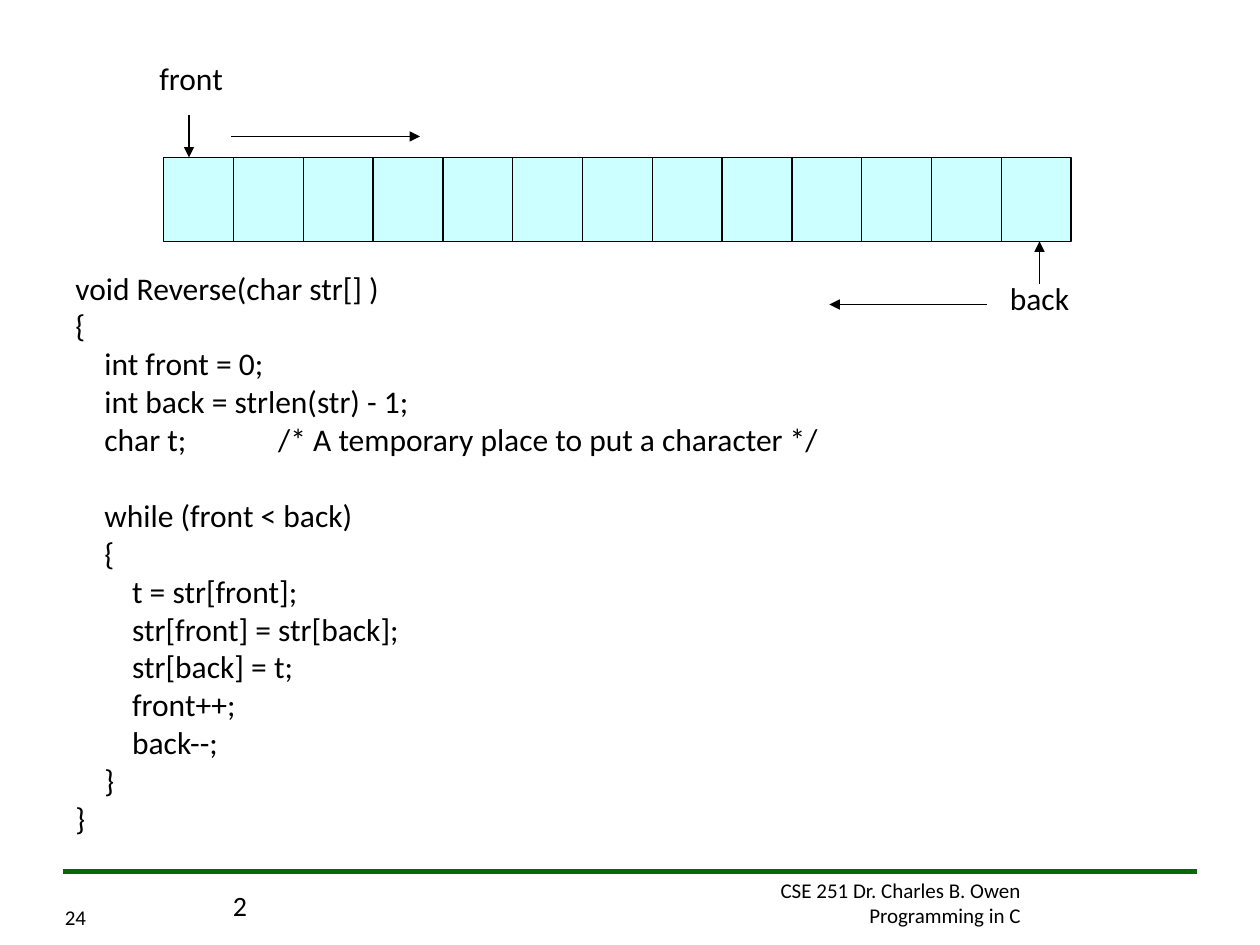
from lxml import etree
from pptx import Presentation
from pptx import util as u
from pptx.dml.color import RGBColor
from pptx.enum import shapes, text
from pptx.oxml.ns import qn

deck = Presentation()
deck.slide_width, deck.slide_height = u.Inches(10), u.Inches(7.5)
page = deck.slides.add_slide(deck.slide_layouts[6])

UNIT = deck.slide_width / 120
BLACK, GREEN, AQUA = "000000", "006C00", "CCFFFF"
TAB_STOPS = (0.23, 0.45, 1.61)
LINE_GAP = 22


def grid(*counts):
    return [round(count * UNIT) for count in counts]


def write(words, at, size=18, align=text.PP_ALIGN.LEFT,
          anchor=text.MSO_ANCHOR.TOP, color=BLACK, tabs=()):
    box = page.shapes.add_textbox(*grid(*at))
    frame = box.text_frame
    frame.word_wrap = True
    frame.vertical_anchor = anchor
    gap = 0
    for index, line in enumerate(words.split("\n")):
        if not line:
            gap = LINE_GAP
            continue
        para = frame.add_paragraph() if index else frame.paragraphs[0]
        para.alignment = align
        if tabs:
            stops = etree.SubElement(para._p.get_or_add_pPr(), qn("a:tabLst"))
            for stop in tabs:
                etree.SubElement(stops, qn("a:tab"), pos=str(u.Inches(stop)), algn="l")
        if gap:
            para.space_before = u.Pt(gap)
            gap = 0
        span = para.add_run()
        span.text = line
        span.font.name, span.font.size = "Calibri", u.Pt(size)
        span.font.color.rgb = RGBColor.from_string(color)


CELLS, ROW_LEFT, ROW_TOP, ROW_WIDTH, ROW_HEIGHT = 13, 15.6, 15, 86.4, 8
cell_width = ROW_WIDTH / CELLS
for index in range(CELLS):
    cell = page.shapes.add_shape(
        shapes.MSO_SHAPE.RECTANGLE,
        *grid(ROW_LEFT + index * cell_width, ROW_TOP, cell_width, ROW_HEIGHT))
    cell.shadow.inherit = False
    cell.fill.solid()
    cell.fill.fore_color.rgb = RGBColor.from_string(AQUA)
    cell.line.color.rgb = RGBColor.from_string(BLACK)
    cell.line.width = u.Pt(0.75)

for ends, color, width, arrow in (
    ((18, 11, 18, 15), BLACK, 0.75, True),
    ((99, 27, 99, 23), BLACK, 0.75, True),
    ((22, 13, 40, 13), BLACK, 0.75, True),
    ((94, 29, 79, 29), BLACK, 0.75, True),
    ((114, 83, 6, 83), GREEN, 3, False),
):
    line = page.shapes.add_connector(shapes.MSO_CONNECTOR.STRAIGHT, *grid(*ends))
    line.line.color.rgb = RGBColor.from_string(color)
    line.line.width = u.Pt(width)
    if arrow:
        etree.SubElement(line.line._get_or_add_ln(), qn("a:tailEnd"), type="triangle")
    etree.SubElement(line._element.spPr, qn("a:effectLst"))

write("front", (14, 5, 12, 4.8))
write("back", (95, 26, 12, 4.8))

CODE = """void Reverse(char str[] )
{
    int front = 0;
    int back = strlen(str) - 1;
    char t;    /* A temporary place to put a character */

    while (front < back)
    {
        t = str[front];
        str[front] = str[back];
        str[back] = t;
        front++;
        back--;
    }
}"""
write(CODE.replace("    ", "\t"), (6, 25, 98, 55.2), tabs=TAB_STOPS)

write("CSE 251 Dr. Charles B. Owen\nProgramming in C", (58, 83, 40.4, 6),
      size=12, align=text.PP_ALIGN.RIGHT)
write("24", (5, 83, 4.8, 6.1), size=12, anchor=text.MSO_ANCHOR.BOTTOM)
write("2", (21, 84, 3.8, 4.4), size=16)

deck.save("out.pptx")
